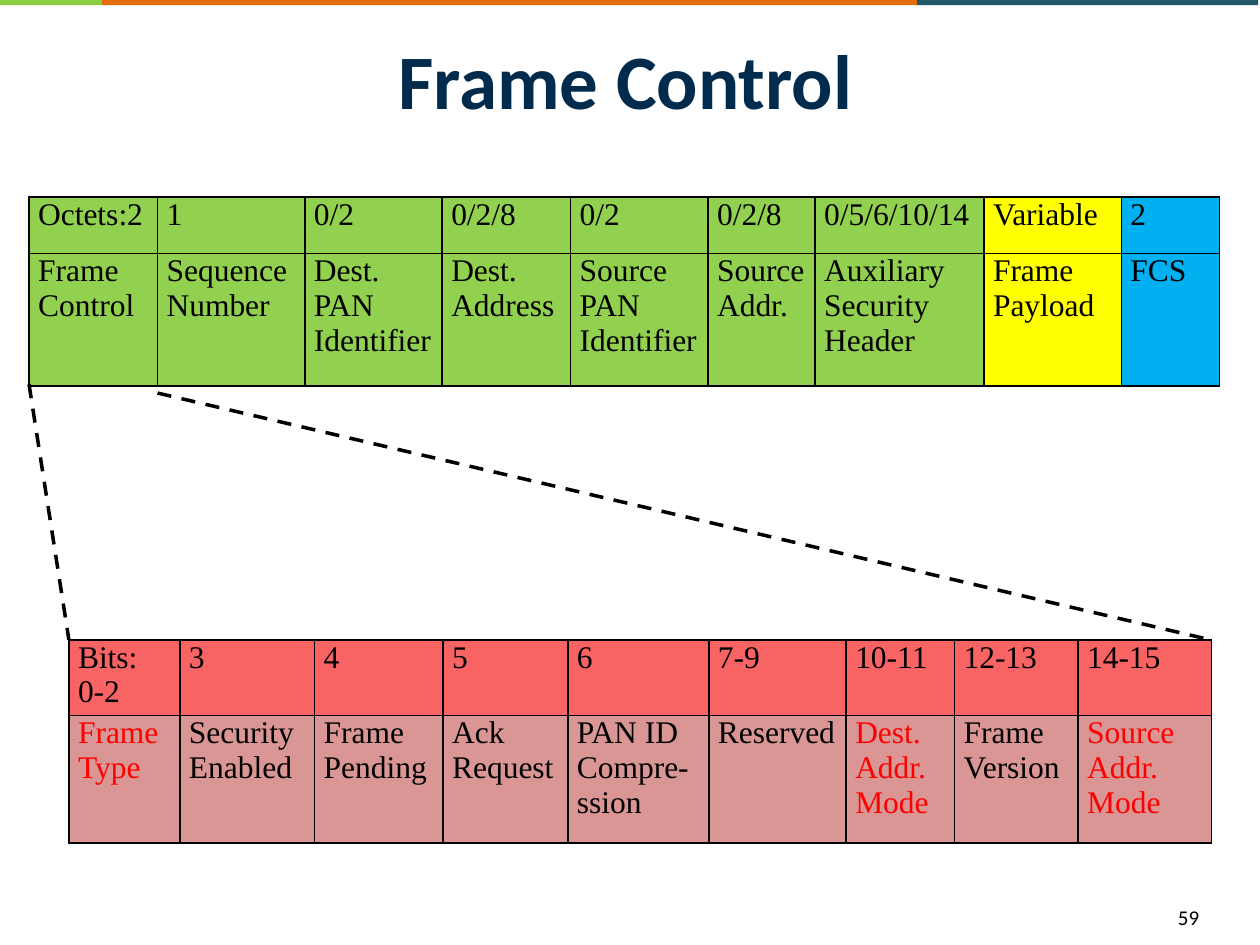
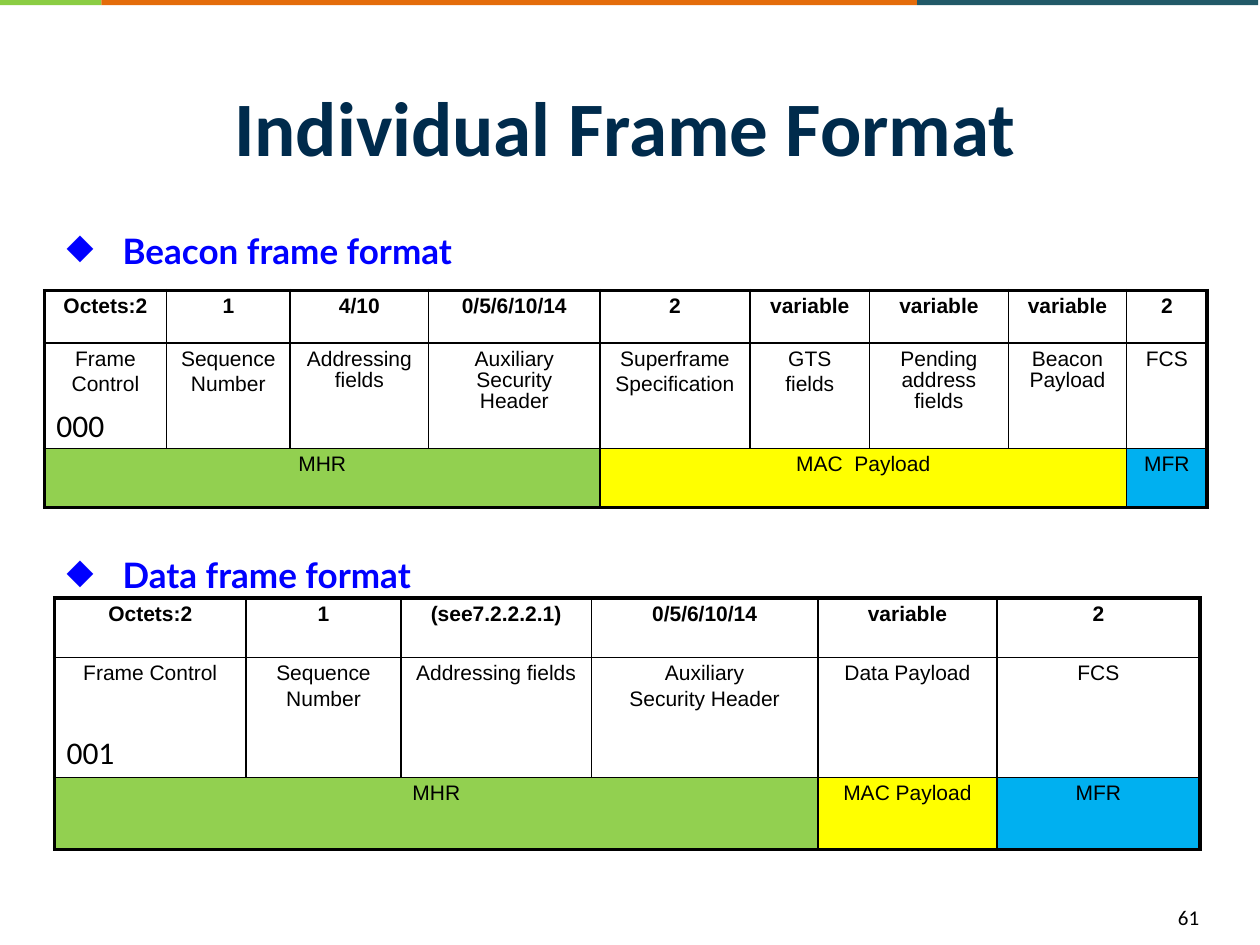
from dataclasses import dataclass
from itertools import pairwise

from lxml import etree
from pptx import Presentation
from pptx.dml.color import RGBColor
from pptx.enum import dml, shapes, text
from pptx.oxml import ns
from pptx.util import Pt

BLACK = RGBColor(0x00, 0x00, 0x00)
NAVY = RGBColor(0x00, 0x2B, 0x4C)
BLUE = RGBColor(0x00, 0x00, 0xFF)
RED = RGBColor(0xFF, 0x00, 0x00)
ORANGE = RGBColor(0xE4, 0x6C, 0x0A)
TEAL = RGBColor(0x21, 0x59, 0x68)
LIME = RGBColor(0x8B, 0xCD, 0x43)
HEADER_GREEN = RGBColor(0x92, 0xD0, 0x50)
PAYLOAD_YELLOW = RGBColor(0xFF, 0xFF, 0x00)
FOOTER_BLUE = RGBColor(0x00, 0xB0, 0xF0)
BITS_RED = RGBColor(0xF5, 0x0B, 0x0B)
MEANING_ROSE = RGBColor(0xD9, 0x96, 0x94)

CENTER = text.PP_ALIGN.CENTER


@dataclass
class Look:
    font: str
    size: float
    margins: tuple
    outer: float = 1
    align: text.PP_ALIGN = text.PP_ALIGN.LEFT
    spacing: float = 1.0
    gap: float = 0


@dataclass
class Field:
    words: str
    fill: RGBColor = None
    color: RGBColor = BLACK
    bold: bool = False
    alpha: int = 100
    span: int = 1


FIELD_LOOK = Look("Times New Roman", 18, (5.2, 0))
FORMAT_LOOK = Look("Arial", 12, (7.2, 3.6), 2.25, CENTER, 0.9, 2.4)


def fields(*words, **style):
    return [Field(word, **style) for word in words]


def add_xml(parent, tag, **attributes):
    return etree.SubElement(parent, ns.qn(tag), attributes)


class Deck:
    def __init__(self):
        self.show = Presentation()
        self.show.slide_width, self.show.slide_height = Pt(720), Pt(540)
        self.slide = None

    def start(self, title, title_top, number):
        self.slide = self.show.slides.add_slide(self.show.slide_layouts[6])
        edges = pairwise((0, 58, 524, 719))
        for (left, right), color in zip(edges, (LIME, ORANGE, TEAL)):
            self.band(left, right - left, color)
        self.label(title, (33.5, title_top, 648, 90), 44, "Calibri", NAVY,
                   bold=True, align=CENTER, anchor=text.MSO_ANCHOR.MIDDLE)
        self.label(number, (666, 513.4, 46, 26.6), 12)

    def band(self, left, width, color):
        band = self.slide.shapes.add_shape(
            shapes.MSO_SHAPE.RECTANGLE, Pt(left), Pt(0), Pt(width), Pt(3))
        band.shadow.inherit = False
        band.fill.solid()
        band.fill.fore_color.rgb = color
        band.line.fill.background()

    def add_words(self, paragraph, words, size, font, color, bold):
        run = paragraph.add_run()
        run.text = words
        run.font.size, run.font.name, run.font.bold = Pt(size), font, bold
        run.font.color.rgb = color

    def label(self, words, box, size, font="Calibri", color=BLACK, bold=False,
              align=None, anchor=text.MSO_ANCHOR.TOP):
        frame = self.slide.shapes.add_textbox(*map(Pt, box)).text_frame
        frame.word_wrap = True
        frame.vertical_anchor = anchor
        paragraph = frame.paragraphs[0]
        paragraph.alignment = align
        self.add_words(paragraph, words, size, font, color, bold)
        return paragraph

    def heading(self, words, top):
        paragraph = self.label(words, (31, top, 260, 32), 20, "Lato", BLUE, True)
        properties = paragraph._p.get_or_add_pPr()
        properties.set("marL", str(Pt(32)))
        properties.set("indent", str(-Pt(32)))
        add_xml(properties, "a:buChar", char="◆")

    def dashes(self, *ends):
        line = self.slide.shapes.add_connector(
            shapes.MSO_CONNECTOR.STRAIGHT, *map(Pt, ends))
        line.line.color.rgb = BLACK
        line.line.width = Pt(2)
        line.line.dash_style = dml.MSO_LINE.DASH
        add_xml(line._element.spPr, "a:effectLst")

    def border(self, cell, widths):
        properties = cell._tc.get_or_add_tcPr()
        for side, width in widths.items():
            line = add_xml(properties, f"a:ln{side}", w=str(Pt(width)))
            add_xml(add_xml(line, "a:solidFill"), "a:srgbClr", val=str(BLACK))

    def fill(self, cell, field):
        if field.fill is None:
            cell.fill.background()
            return
        cell.fill.solid()
        cell.fill.fore_color.rgb = field.fill
        if field.alpha < 100:
            color = cell._tc.tcPr.find(ns.qn("a:solidFill"))[0]
            add_xml(color, "a:alpha", val=str(field.alpha * 1000))

    def fill_in(self, cell, field, look):
        cell.margin_left = cell.margin_right = Pt(look.margins[0])
        cell.margin_top = cell.margin_bottom = Pt(look.margins[1])
        frame = cell.text_frame
        for index, words in enumerate(field.words.split("\n")):
            paragraph = frame.add_paragraph() if index else frame.paragraphs[0]
            paragraph.alignment = look.align
            paragraph.line_spacing = look.spacing
            if index:
                paragraph.space_before = Pt(look.gap)
            self.add_words(paragraph, words, look.size, look.font,
                           field.color, field.bold)

    def table(self, left, top, widths, heights, rows, look):
        grid = self.slide.shapes.add_table(
            len(heights), len(widths), Pt(left), Pt(top),
            Pt(sum(widths)), Pt(sum(heights))).table
        grid.first_row = grid.horz_banding = False
        for column, width in zip(grid.columns, widths):
            column.width = Pt(width)
        for row, height in zip(grid.rows, heights):
            row.height = Pt(height)
        for y, row in enumerate(rows):
            x = 0
            for field in row:
                last = x + field.span - 1
                edges = {"L": x == 0, "R": last == len(widths) - 1,
                         "T": y == 0, "B": y == len(heights) - 1}
                lines = {side: look.outer if outer else 1
                         for side, outer in edges.items()}
                for covered in range(x, last + 1):
                    sides = "LRTB" if covered == x else "TB"
                    cell = grid.cell(y, covered)
                    self.border(cell, {side: lines[side] for side in sides})
                    self.fill(cell, field)
                if field.span > 1:
                    grid.cell(y, x).merge(grid.cell(y, last))
                self.fill_in(grid.cell(y, x), field, look)
                x = last + 1


def frame_control(deck):
    deck.start("Frame Control", 0, "59")
    octets = (fields("Octets:2", "1", "0/2", "0/2/8", "0/2", "0/2/8", "0/5/6/10/14",
                     fill=HEADER_GREEN)
              + [Field("Variable", PAYLOAD_YELLOW), Field("2", FOOTER_BLUE)])
    parts = (fields("Frame Control", "Sequence\nNumber", "Dest.\nPAN\nIdentifier",
                    "Dest.\nAddress", "Source\nPAN\nIdentifier", "Source\nAddr.",
                    "Auxiliary Security Header", fill=HEADER_GREEN)
             + [Field("Frame\nPayload", PAYLOAD_YELLOW), Field("FCS", FOOTER_BLUE)])
    deck.table(16.6, 112.5, (73.4, 84.2, 78.5, 73.4, 78.5, 61.2, 96.5, 78.5, 56.2),
               (32.4, 75.8), (octets, parts), FIELD_LOOK)

    bits = fields("Bits:\n0-2", "3", "4", "5", "6", "7-9", "10-11", "12-13", "14-15",
                  fill=BITS_RED, alpha=64)
    meanings = fields("Frame\nType", "Security\nEnabled", "Frame\nPending",
                      "Ack\nRequest", "PAN ID\nCompre-ssion", "Reserved",
                      "Dest.\nAddr.\nMode", "Frame\nVersion", "Source\nAddr.\nMode",
                      fill=MEANING_ROSE)
    for highlighted in (0, 6, 8):
        meanings[highlighted].color = RED
    deck.table(39.4, 365.7, (63.4, 77, 73.4, 71.3, 80.6, 78.5, 61.9, 70.6, 76.3),
               (43.2, 72.7), (bits, meanings), FIELD_LOOK)
    deck.dashes(16.6, 219.6, 39.4, 365.7)
    deck.dashes(90, 224.6, 692, 365.7)


def individual_formats(deck):
    deck.start("Individual Frame Format", 27, "61")
    header = Field("MHR", HEADER_GREEN, span=4)
    footer = Field("MFR", FOOTER_BLUE)

    deck.heading("Beacon frame format", 127.5)
    beacon = (
        fields("Octets:2", "1", "4/10", "0/5/6/10/14", "2", "variable", "variable",
               "variable", "2", bold=True),
        fields("Frame\nControl", "Sequence\nNumber", "Addressing fields",
               "Auxiliary Security Header", "Superframe\nSpecification",
               "GTS\nfields", "Pending address fields", "Beacon Payload", "FCS"),
        [header, Field("MAC  Payload", PAYLOAD_YELLOW, span=4), footer])
    deck.table(25.4, 166, (69.8, 70.6, 79.2, 97.9, 85.7, 68.4, 79.2, 67.7, 46),
               (30, 60.3, 33.8), beacon, FORMAT_LOOK)

    deck.heading("Data frame format", 313)
    data = (
        fields("Octets:2", "1", "(see7.2.2.2.1)", "0/5/6/10/14", "variable", "2",
               bold=True),
        fields("Frame Control", "Sequence\nNumber", "Addressing fields",
               "Auxiliary\nSecurity Header", "Data Payload", "FCS"),
        [header, Field("MAC Payload", PAYLOAD_YELLOW), footer])
    deck.table(31.2, 341.7, (109.4, 88.6, 108.7, 129.6, 102.2, 116),
               (34, 68.6, 41.2), data, FORMAT_LOOK)

    deck.label("000", (25.2, 228.2, 45, 29), 18)
    deck.label("001", (31, 415.4, 45, 29), 18)


def main():
    deck = Deck()
    frame_control(deck)
    individual_formats(deck)
    deck.show.save("out.pptx")


if __name__ == "__main__":
    main()
